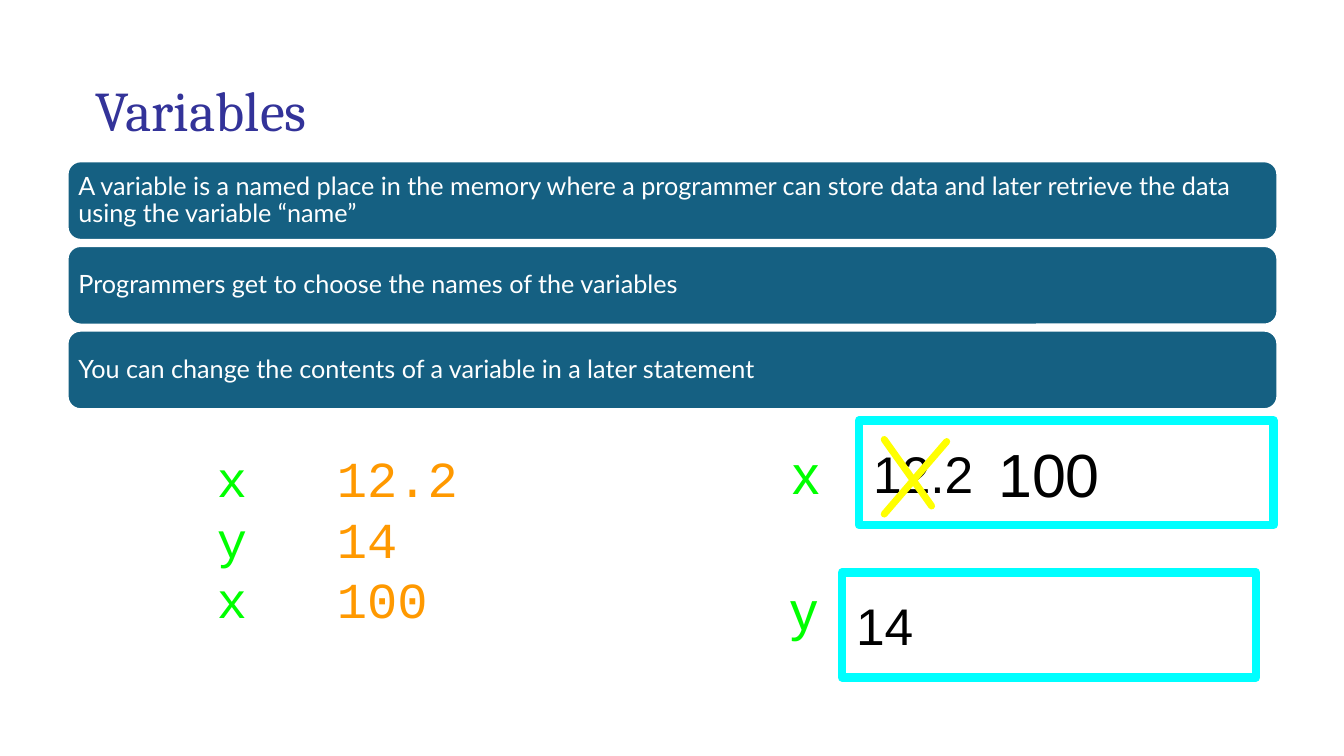
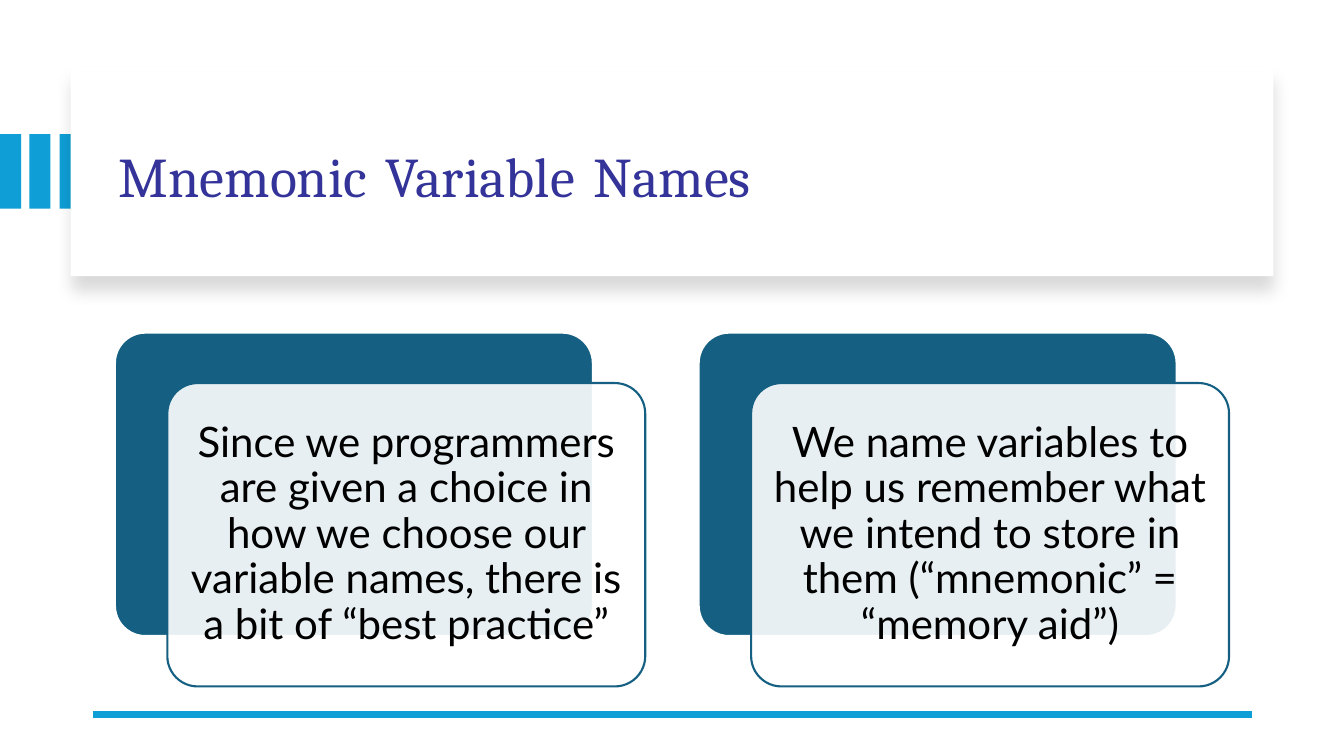
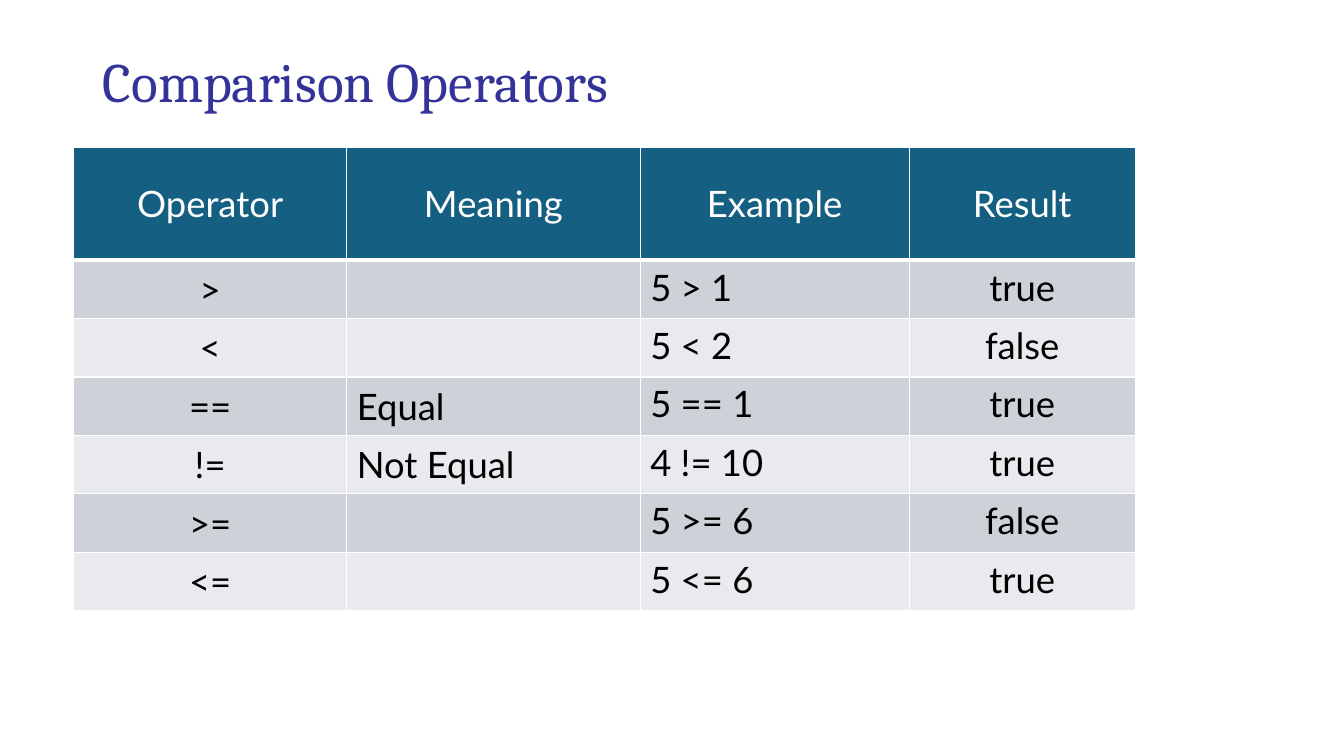
"""Build three lecture slides on variables, naming and comparison operators."""
from collections import namedtuple

from lxml import etree
from pptx import Presentation
from pptx.dml.color import RGBColor
from pptx.enum.shapes import MSO_CONNECTOR, MSO_SHAPE
from pptx.enum.text import MSO_ANCHOR, PP_ALIGN
from pptx.oxml.ns import qn
from pptx.util import Pt

PX = 9144
RECT, ROUND = MSO_SHAPE.RECTANGLE, MSO_SHAPE.ROUNDED_RECTANGLE
STRAIGHT = MSO_CONNECTOR.STRAIGHT
LEFT, CENTER = PP_ALIGN.LEFT, PP_ALIGN.CENTER
TOP, MIDDLE = MSO_ANCHOR.TOP, MSO_ANCHOR.MIDDLE

Style = namedtuple("Style", "font size color")


class Theme:
    white, black = "FFFFFF", "000000"
    teal, sky, cyan, yellow = "156082", "0F9ED5", "00FFFF", "FFFF00"
    bands = ("E8EAED", "CCD2D8")
    title = Style("Cambria", 40, "333399")
    small_title = Style("Cambria", 39.6, "333399")
    wide_gap = Style("Arial", 48, black)
    narrow_gap = Style("Lato", 33.3, black)
    bar = Style("Lato", 18, white)
    card = Style("Lato", 30, black)
    label = Style("Arial", 39, "00FF00")
    value = Style("Arial", 36.8, black)
    new_value = Style("Arial", 43.5, black)
    code_name = Style("Courier New", 36, "00FF00")
    code_value = Style("Courier New", 36, "FF9900")
    header = Style("Lato", 26, white)
    cell = Style("Lato", 26, black)


def draw(page, kind, area, fill=None, line=None, width=1.5, inset=0):
    """Add a preset shape, or a text box when kind is None."""
    area = [length * PX for length in area]
    if kind is None:
        shape = page.shapes.add_textbox(*area)
    else:
        shape = page.shapes.add_shape(kind, *area)
        shape.shadow.inherit = False
        if fill:
            shape.fill.solid()
            shape.fill.fore_color.rgb = RGBColor.from_string(fill)
        else:
            shape.fill.background()
        if line:
            shape.line.color.rgb = RGBColor.from_string(line)
            shape.line.width = Pt(width)
            etree.SubElement(shape._element.spPr.find(qn("a:ln")), qn("a:round"))
        else:
            shape.line.fill.background()
    frame = shape.text_frame
    frame.word_wrap = True
    frame.vertical_anchor = MIDDLE
    frame.margin_left = frame.margin_right = inset * PX
    frame.margin_top = frame.margin_bottom = inset * PX
    return shape


def write(frame, lines, align=LEFT, spacing=1.0):
    """Fill a frame with paragraphs, each a list of (text, style) spans."""
    for index, spans in enumerate(lines):
        para = frame.add_paragraph() if index else frame.paragraphs[0]
        para.alignment = align
        para.line_spacing = spacing
        for text, style in spans:
            span = para.add_run()
            span.text = text
            span.font.name = style.font
            span.font.size = Pt(style.size)
            span.font.color.rgb = RGBColor.from_string(style.color)


deck = Presentation()
deck.slide_width, deck.slide_height = 1333 * PX, 750 * PX
variables, mnemonics, operators = [
    deck.slides.add_slide(deck.slide_layouts[6]) for _ in range(3)]

panel = draw(mnemonics, RECT, (70, 67, 1193, 207), Theme.white)
effects = panel._element.spPr.find(qn("a:effectLst"))
shadow = etree.SubElement(effects, qn("a:outerShdw"), blurRad=str(Pt(11)),
                          dist=str(Pt(10)), dir="5400000", rotWithShape="0")
shade = etree.SubElement(shadow, qn("a:srgbClr"), val=Theme.black)
etree.SubElement(shade, qn("a:alpha"), val="15000")
for step in range(3):
    tick = draw(mnemonics, RECT, (step * 59 // 2, 133, 21, 74), Theme.sky)
    panel._element.addprevious(tick._element)

titles = [
    (variables, (92, 40, 1150, 145), 3, [("Variables", Theme.title)]),
    (mnemonics, (114, 89, 1113, 170), 4,
     [("Mnemonic", Theme.title), (" ", Theme.wide_gap),
      ("Variable", Theme.title), (" ", Theme.wide_gap), ("Names", Theme.title)]),
    (operators, (92, 50, 1133, 67), 10,
     [("Comparison", Theme.small_title), (" ", Theme.narrow_gap),
      ("Operators", Theme.small_title)]),
]
for page, area, inset, spans in titles:
    write(draw(page, None, area, inset=inset).text_frame, [spans], spacing=0.9)

facts = [
    "A variable is a named place in the memory where a programmer can store data "
    "and later retrieve the data using the variable “name”",
    "Programmers get to choose the names of the variables",
    "You can change the contents of a variable in a later statement",
]
for row, fact in enumerate(facts):
    bar = draw(variables, ROUND, (67, 160 + row * 84, 1200, 78),
               Theme.teal, Theme.white, inset=7)
    write(bar.text_frame, [[(fact, Theme.bar)]], spacing=0.9)

for area, value in [((852, 417, 411, 104), "12.2"), ((835, 568, 411, 104), "14")]:
    memory = draw(variables, RECT, area, line=Theme.cyan, width=6)
    memory.text_frame.margin_left = 14 * PX
    write(memory.text_frame, [[(value, Theme.value)]])

labels = [
    ("x", (782, 433, 36, 71), Theme.label),
    ("y", (781, 568, 33, 71), Theme.label),
    ("100", (972, 431, 137, 77), Theme.new_value),
]
for text, area, style in labels:
    label = draw(variables, None, area)
    write(label.text_frame, [[(text, style)]], CENTER)

assignments = [("x", "12.2"), ("y", "14"), ("x", "100")]
listing = draw(variables, None, (215, 436, 331, 196)).text_frame
write(listing, [[(name + "\t", Theme.code_name), (value, Theme.code_value)]
                for name, value in assignments])
for para in listing.paragraphs:
    tabs = etree.SubElement(para._p.get_or_add_pPr(), qn("a:tabLst"))
    etree.SubElement(tabs, qn("a:tab"), pos=str(119 * PX), algn="l")

reasons = [
    "Since we programmers are given a choice in how we choose our variable names, "
    "there is a bit of “best practice”",
    "We name variables to help us remember what we intend to store in them "
    "(“mnemonic” = “memory aid”)",
]
for column, reason in enumerate(reasons):
    left = 114 + column * 579
    back = draw(mnemonics, ROUND, (left, 330, 474, 301), Theme.teal, Theme.white)
    front = draw(mnemonics, ROUND, (left + 52, 380, 474, 301),
                 Theme.white, Theme.teal, inset=12)
    back.adjustments[0] = front.adjustments[0] = 0.1
    tint = front._element.spPr.find(qn("a:solidFill"))[0]
    etree.SubElement(tint, qn("a:alpha"), val="90000")
    write(front.text_frame, [[(reason, Theme.card)]], CENTER, 0.9)

strokes = [
    (variables, (939, 438, 877, 510), Theme.yellow, 5, "rnd"),
    (variables, (877, 436, 924, 502), Theme.yellow, 5, "rnd"),
    (mnemonics, (1242, 709, 92, 709), Theme.sky, 4.5, "flat"),
]
for page, ends, color, width, cap in strokes:
    stroke = page.shapes.add_connector(STRAIGHT, *[end * PX for end in ends])
    stroke.line.color.rgb = RGBColor.from_string(color)
    stroke.line.width = Pt(width)
    properties = stroke._element.spPr
    properties.find(qn("a:ln")).set("cap", cap)
    etree.SubElement(properties, qn("a:effectLst"))

rows = [
    ("Operator", "Meaning", "Example", "Result"),
    (">", "", "5 > 1", "true"),
    ("<", "", "5 < 2", "false"),
    ("==", "Equal", "5 == 1", "true"),
    ("!=", "Not Equal", "4 != 10", "true"),
    (">=", "", "5 >= 6", "false"),
    ("<=", "", "5 <= 6", "true"),
]
widths = (271, 291, 267, 224)
heights = [112] + [58] * 6
aligns = (CENTER, LEFT, LEFT, CENTER)
anchors = (MIDDLE, MIDDLE, TOP, TOP)
table = operators.shapes.add_table(
    len(rows), len(widths), 73 * PX, 146 * PX,
    sum(widths) * PX, sum(heights) * PX).table
table.first_row = table.horz_banding = False
for column, width in zip(table.columns, widths):
    column.width = width * PX
for row, (texts, height) in enumerate(zip(rows, heights)):
    table.rows[row].height = height * PX
    is_header = row == 0
    for column, text in enumerate(texts):
        cell = table.cell(row, column)
        cell.vertical_anchor = MIDDLE if is_header else anchors[column]
        for side in "LRTB":
            weight = Pt(3 if is_header and side == "B" else 1)
            border = etree.SubElement(cell._tc.get_or_add_tcPr(),
                                      qn("a:ln" + side), w=str(weight))
            paint = etree.SubElement(border, qn("a:solidFill"))
            etree.SubElement(paint, qn("a:srgbClr"), val=Theme.white)
        cell.fill.solid()
        cell.fill.fore_color.rgb = RGBColor.from_string(
            Theme.teal if is_header else Theme.bands[row % 2])
        if text:
            write(cell.text_frame,
                  [[(text, Theme.header if is_header else Theme.cell)]],
                  CENTER if is_header else aligns[column])

deck.save("out.pptx")
